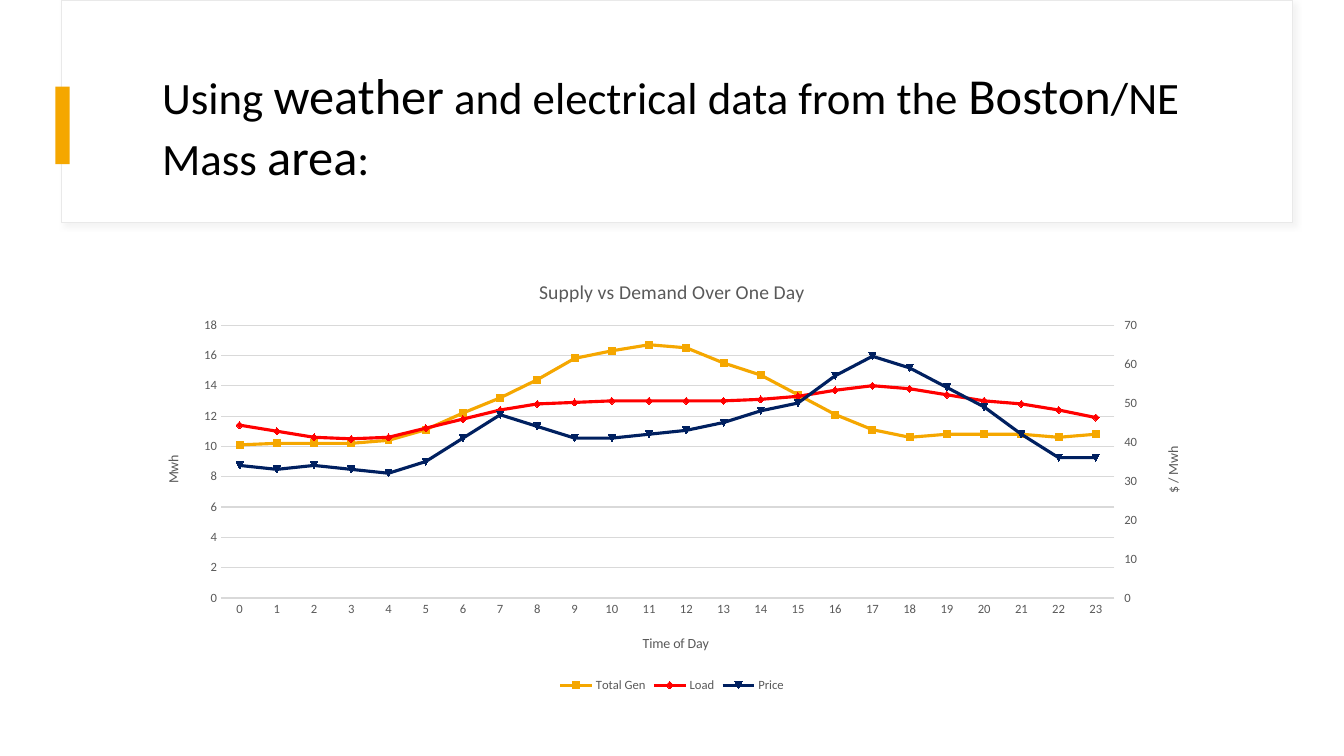
from copy import deepcopy

from lxml import etree
from pptx import Presentation
from pptx.chart.axis import ValueAxis
from pptx.chart.data import CategoryChartData
from pptx.dml.color import RGBColor
from pptx.enum.chart import XL_CHART_TYPE, XL_LEGEND_POSITION, XL_TICK_MARK
from pptx.enum.shapes import MSO_SHAPE
from pptx.oxml import parse_xml
from pptx.oxml.ns import qn
from pptx.util import Inches, Pt

LINE_CHART = XL_CHART_TYPE.LINE
LEGEND_BOTTOM = XL_LEGEND_POSITION.BOTTOM
TICK_NONE = XL_TICK_MARK.NONE
TICK_OUT = XL_TICK_MARK.OUTSIDE
RECTANGLE = MSO_SHAPE.RECTANGLE

FONT = "Calibri"
BLACK = RGBColor(0x00, 0x00, 0x00)
WHITE = RGBColor(0xFF, 0xFF, 0xFF)
GRAY = RGBColor(0x59, 0x59, 0x59)
GRID = RGBColor(0xD9, 0xD9, 0xD9)
EDGE = RGBColor(0xE9, 0xE9, 0xE9)
GOLD = RGBColor(0xF5, 0xA7, 0x00)
RED = RGBColor(0xFF, 0x00, 0x00)
NAVY = RGBColor(0x00, 0x20, 0x60)

TITLE_SPANS = [
    ("Using ", 32), ("weather", 36), (" and electrical data from the ", 32),
    ("Boston", 36), ("/NE Mass ", 32), ("area", 36), (":", 32),
]
SERIES = [
    ("Total Gen", GOLD, [10.1, 10.2, 10.2, 10.2, 10.4, 11.1, 12.2, 13.2, 14.4, 15.8, 16.3, 16.7,
                         16.5, 15.5, 14.7, 13.4, 12.1, 11.1, 10.6, 10.8, 10.8, 10.8, 10.6, 10.8]),
    ("Load", RED, [11.4, 11, 10.6, 10.5, 10.6, 11.2, 11.8, 12.4, 12.8, 12.9, 13, 13,
                   13, 13, 13.1, 13.3, 13.7, 14, 13.8, 13.4, 13, 12.8, 12.4, 11.9]),
    ("Price", NAVY, [34, 33, 34, 33, 32, 35, 41, 47, 44, 41, 41, 42,
                     43, 45, 48, 50, 57, 62, 59, 54, 49, 42, 36, 36]),
]
SHADOW = (
    '<a:effectLst xmlns:a="http://schemas.openxmlformats.org/drawingml/2006/main">'
    '<a:outerShdw blurRad="50800" dist="38100" dir="2700000" algn="tl" rotWithShape="0">'
    '<a:srgbClr val="D9D9D9"><a:alpha val="30000"/></a:srgbClr></a:outerShdw></a:effectLst>'
)


def add_rectangle(page, box, fill, line=None):
    shape = page.shapes.add_shape(RECTANGLE, *[Inches(length) for length in box])
    shape.shadow.inherit = False
    shape.fill.solid()
    shape.fill.fore_color.rgb = fill
    if line is None:
        shape.line.fill.background()
    else:
        shape.line.color.rgb = line
        shape.line.width = Pt(0.75)
    return shape


def add_header(page, box):
    left, top, width, height = box
    card = add_rectangle(page, box, WHITE, EDGE)
    properties = card._element.spPr
    properties.remove(properties.find(qn("a:effectLst")))
    properties.append(parse_xml(SHADOW))
    add_rectangle(page, (left - 0.06, top + 0.86, 0.14, 0.77), GOLD)

    heading = page.shapes.add_textbox(
        Inches(left + 0.9), Inches(top + 0.59), Inches(10.67), Inches(1.31))
    heading.text_frame.word_wrap = True
    para = heading.text_frame.paragraphs[0]
    for text, size in TITLE_SPANS:
        span = para.add_run()
        span.text = text
        style_font(span.font, size, BLACK)


def style_font(font, size, color):
    font.name = FONT
    font.size = Pt(size)
    font.bold = False
    font.color.rgb = color


def set_layout(parent, index, **fractions):
    for old in parent.findall(qn("c:layout")):
        parent.remove(old)
    layout = etree.Element(qn("c:layout"))
    manual = etree.SubElement(layout, qn("c:manualLayout"))
    if "w" in fractions:
        etree.SubElement(manual, qn("c:layoutTarget")).set("val", "inner")
    for side in ("x", "y"):
        etree.SubElement(manual, qn(f"c:{side}Mode")).set("val", "edge")
    for side, fraction in fractions.items():
        etree.SubElement(manual, qn(f"c:{side}")).set("val", str(fraction))
    parent.insert(index, layout)


def style_title(owner, text, size):
    frame = owner.text_frame
    frame.text = text
    style_font(frame.paragraphs[0].runs[0].font, size, GRAY)


def title_axis(axis, text, x, y, upright=False):
    title = axis.axis_title
    style_title(title, text, 10)
    if upright:
        body = title.text_frame._txBody.find(qn("a:bodyPr"))
        body.set("rot", "-5400000")
        body.set("vert", "horz")
    set_layout(title._element, 1, x=x, y=y)


def style_axis(axis):
    axis.major_tick_mark = TICK_NONE
    axis.minor_tick_mark = TICK_NONE
    style_font(axis.tick_labels.font, 9, GRAY)


def set_scale(axis, top, step):
    axis.minimum_scale = 0
    axis.maximum_scale = top
    axis.major_unit = step


def move_to_right_axis(chart):
    plot_area = chart._chartSpace.chart.plotArea
    main = plot_area.find(qn("c:lineChart"))
    right = deepcopy(main)
    main.remove(main.findall(qn("c:ser"))[-1])
    for series in right.findall(qn("c:ser"))[:-1]:
        right.remove(series)
    main.addnext(right)

    hours, values = deepcopy(chart.category_axis._element), deepcopy(chart.value_axis._element)
    ids = ("50010", "50020")
    for node, number in zip(right.findall(qn("c:axId")), ids):
        node.set("val", number)
    for axis, own, other in ((hours, *ids), (values, *ids[::-1])):
        axis.find(qn("c:axId")).set("val", own)
        axis.find(qn("c:crossAx")).set("val", other)
    hours.remove(hours.find(qn("c:title")))
    hours.find(qn("c:delete")).set("val", "1")
    values.find(qn("c:axPos")).set("val", "r")
    values.find(qn("c:crosses")).set("val", "max")
    chart.value_axis._element.addnext(values)
    values.addnext(hours)

    price_axis = ValueAxis(values)
    price_axis.has_major_gridlines = False
    price_axis.major_tick_mark = TICK_OUT
    set_scale(price_axis, 70, 10)
    title_axis(price_axis, "$ / Mwh", 0.96, 0.42, True)


def add_supply_chart(page, box):
    data = CategoryChartData()
    data.categories = [str(hour) for hour in range(24)]
    for name, color, values in SERIES:
        data.add_series(name, values)
    chart = page.shapes.add_chart(
        LINE_CHART, *[Inches(length) for length in box], data).chart
    style_font(chart.font, 10, BLACK)
    chart.has_title = True
    style_title(chart.chart_title, "Supply vs Demand Over One Day", 14)
    chart.chart_title.include_in_layout = False
    chart.has_legend = True
    chart.legend.position = LEGEND_BOTTOM
    chart.legend.include_in_layout = False
    style_font(chart.legend.font, 9, GRAY)

    chart.plots[0].vary_by_categories = False
    for series, (name, color, values) in zip(chart.plots[0].series, SERIES):
        series.smooth = False
        series.marker.style = None
        series.format.line.color.rgb = color
        series.format.line.width = Pt(2.25)

    hours, energy = chart.category_axis, chart.value_axis
    for axis in (hours, energy):
        style_axis(axis)
    hours.format.line.color.rgb = GRID
    hours.format.line.width = Pt(0.75)
    energy.format.line.fill.background()
    energy.has_major_gridlines = True
    energy.major_gridlines.format.line.color.rgb = GRID
    energy.major_gridlines.format.line.width = Pt(0.75)
    set_scale(energy, 18, 2)
    title_axis(hours, "Time of Day", 0.47, 0.85)
    title_axis(energy, "Mwh", 0.02, 0.44, True)
    move_to_right_axis(chart)
    set_layout(chart._chartSpace.chart.plotArea, 0, x=0.076, y=0.147, w=0.84, h=0.627)


def main():
    deck = Presentation()
    deck.slide_width, deck.slide_height = Inches(13.33), Inches(7.5)
    page = deck.slides.add_slide(deck.slide_layouts[6])
    add_header(page, (0.61, 0, 12.21, 2.21))
    add_supply_chart(page, (1.39, 2.59, 10.55, 4.32))
    deck.save("out.pptx")


if __name__ == "__main__":
    main()
